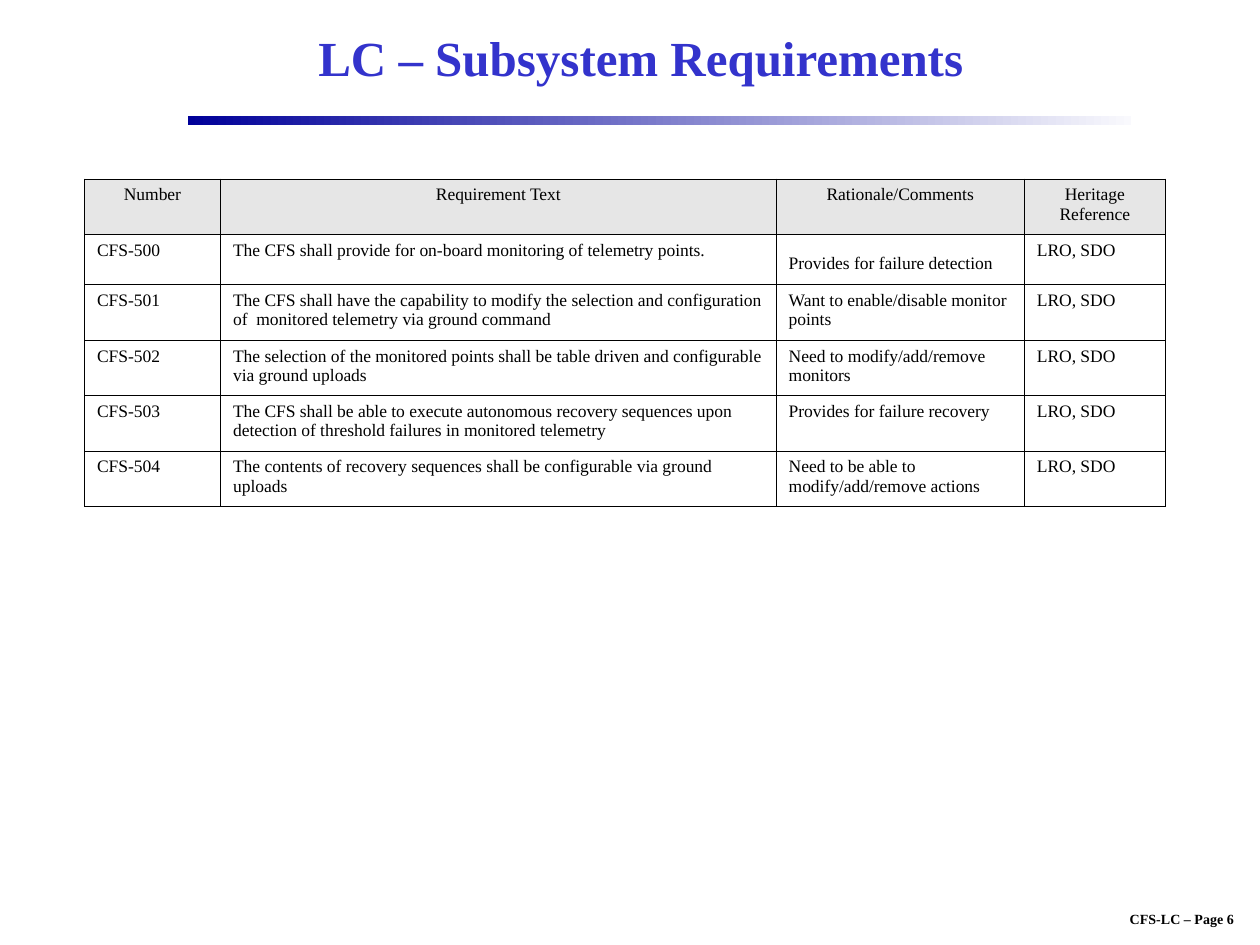
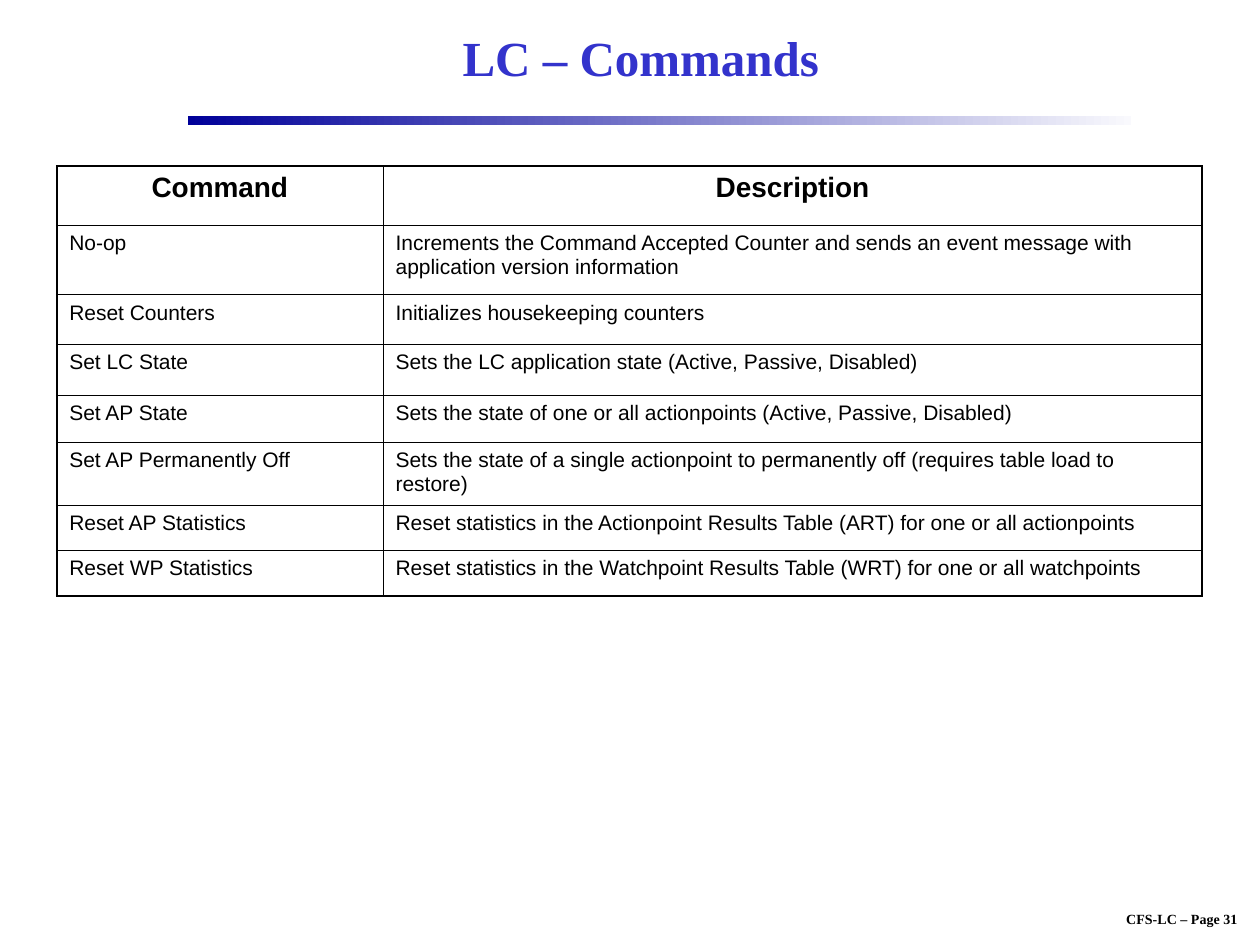
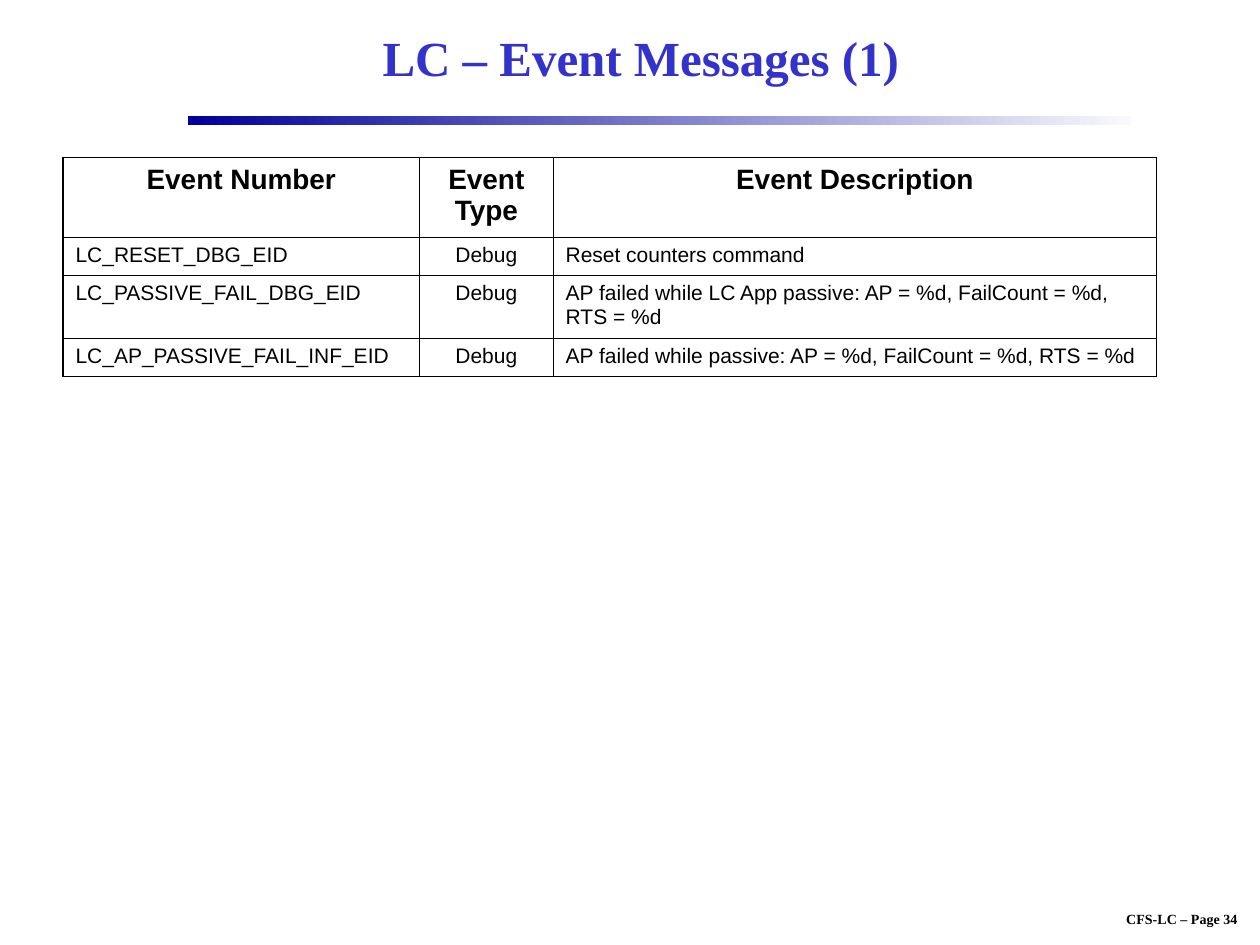
"""Build three slides of requirement, command and event tables for the LC application."""
from dataclasses import dataclass

from lxml import etree
from pptx import Presentation
from pptx.dml.color import RGBColor
from pptx.enum import shapes, text
from pptx.oxml import ns
from pptx.util import Inches, Pt

SERIF, SANS = "Times New Roman", "Arial"
BLACK, TITLE_BLUE, HEADER_GREY = "000000", "3333CC", "E6E6E6"
BAND_COLORS = ("000099", "F9F9FD")
THIN, THICK = 0.45, 1.08
TITLE_ONLY = 5


@dataclass
class TableStyle:
    font: str
    header_size: int
    body_size: int
    header_bold: bool
    header_fill: str = ""
    outer: float = THICK
    bottom: float = THICK
    centered_columns: tuple = ()


def color(value):
    return RGBColor.from_string(value)


def format_font(font, name, size, bold=False, fill=BLACK):
    font.name, font.size, font.bold = name, Pt(size), bold
    font.color.rgb = color(fill)


def set_title(slide, words):
    title = slide.shapes.title
    title.left, title.top = Inches(1.5), Inches(0.08)
    title.width, title.height = Inches(7.17), Inches(0.75)
    frame = title.text_frame
    frame.text = words
    frame.auto_size = text.MSO_AUTO_SIZE.NONE
    frame.vertical_anchor = text.MSO_ANCHOR.MIDDLE
    paragraph = frame.paragraphs[0]
    paragraph.alignment = text.PP_ALIGN.CENTER
    format_font(paragraph.font, SERIF, 28, True, TITLE_BLUE)


def add_band(slide):
    band = slide.shapes.add_shape(
        shapes.MSO_SHAPE.RECTANGLE, Inches(1.49), Inches(0.92), Inches(7.49), Inches(0.07))
    band.shadow.inherit = False
    band.line.fill.background()
    band.fill.gradient()
    band.fill.gradient_angle = 0
    for stop, value in zip(band.fill.gradient_stops, BAND_COLORS):
        stop.color.rgb = color(value)


def add_footer(slide, page):
    footer = slide.shapes.add_textbox(Inches(8.64), Inches(7.18), Inches(1.48), Inches(0.23))
    frame = footer.text_frame
    frame.word_wrap = False
    frame.text = f"CFS-LC – Page {page}"
    paragraph = frame.paragraphs[0]
    paragraph.alignment = text.PP_ALIGN.CENTER
    format_font(paragraph.font, SERIF, 8, True)


def add_slide(presentation, title, page):
    slide = presentation.slides.add_slide(presentation.slide_layouts[TITLE_ONLY])
    set_title(slide, title)
    add_band(slide)
    add_footer(slide, page)
    return slide


def set_borders(cell, widths):
    properties = cell._tc.get_or_add_tcPr()
    for side, width in zip("LRTB", widths):
        line = etree.SubElement(properties, ns.qn(f"a:ln{side}"), w=str(Pt(width)))
        fill = etree.SubElement(line, ns.qn("a:solidFill"))
        etree.SubElement(fill, ns.qn("a:srgbClr"), val=BLACK)


def fill_cell(cell, words, style, is_header, centered):
    cell.text = words
    paragraph = cell.text_frame.paragraphs[0]
    paragraph.alignment = text.PP_ALIGN.CENTER if centered else text.PP_ALIGN.LEFT
    size = style.header_size if is_header else style.body_size
    format_font(paragraph.font, style.font, size, is_header and style.header_bold)
    if is_header and style.header_fill:
        cell.fill.solid()
        cell.fill.fore_color.rgb = color(style.header_fill)
    else:
        cell.fill.background()


def add_table(slide, left, top, widths, heights, rows, style):
    table = slide.shapes.add_table(
        len(rows), len(widths), Inches(left), Inches(top),
        Inches(sum(widths)), Inches(sum(heights))).table
    table.first_row = table.horz_banding = False
    for column, width in zip(table.columns, widths):
        column.width = Inches(width)
    for row, height in zip(table.rows, heights):
        row.height = Inches(height)
    last_row, last_column = len(rows) - 1, len(widths) - 1
    for i, row in enumerate(rows):
        for j, words in enumerate(row):
            cell = table.cell(i, j)
            set_borders(cell, (
                style.outer if j == 0 else THIN,
                style.outer if j == last_column else THIN,
                style.outer if i == 0 else THIN,
                style.bottom if i == last_row else THIN))
            fill_cell(cell, words, style, i == 0, i == 0 or j in style.centered_columns)
    return table


def add_requirements(presentation):
    slide = add_slide(presentation, "LC – Subsystem Requirements", 6)
    requirements = [
        ("The CFS shall provide for on-board monitoring of telemetry points.",
         "Provides for failure detection"),
        ("The CFS shall have the capability to modify the selection and configuration "
         "of  monitored telemetry via ground command",
         "Want to enable/disable monitor points"),
        ("The selection of the monitored points shall be table driven and configurable "
         "via ground uploads",
         "Need to modify/add/remove monitors"),
        ("The CFS shall be able to execute autonomous recovery sequences upon "
         "detection of threshold failures in monitored telemetry",
         "Provides for failure recovery"),
        ("The contents of recovery sequences shall be configurable via ground uploads",
         "Need to be able to modify/add/remove actions"),
    ]
    rows = [("Number", "Requirement Text", "Rationale/Comments", "Heritage Reference")]
    rows += [(f"CFS-{number}", requirement, rationale, "LRO, SDO")
             for number, (requirement, rationale) in enumerate(requirements, 500)]
    style = TableStyle(SERIF, 10, 10, False, HEADER_GREY, THIN, THIN)
    table = add_table(slide, 0.67, 1.42, (1.08, 4.41, 1.97, 1.12),
                      (0.44, 0.4, 0.44, 0.44, 0.44, 0.44), rows, style)
    tall_space = table.cell(1, 2).text_frame.paragraphs[0].add_run()
    tall_space.text = " "
    format_font(tall_space.font, SANS, 18, True)


def add_commands(presentation):
    slide = add_slide(presentation, "LC – Commands", 31)
    rows = [
        ("Command", "Description"),
        ("No-op", "Increments the Command Accepted Counter and sends an event message with "
                  "application version information"),
        ("Reset Counters", "Initializes housekeeping counters"),
        ("Set LC State", "Sets the LC application state (Active, Passive, Disabled)"),
        ("Set AP State", "Sets the state of one or all actionpoints (Active, Passive, Disabled)"),
        ("Set AP Permanently Off", "Sets the state of a single actionpoint to permanently off "
                                   "(requires table load to restore)"),
        ("Reset AP Statistics", "Reset statistics in the Actionpoint Results Table (ART) "
                                "for one or all actionpoints"),
        ("Reset WP Statistics", "Reset statistics in the Watchpoint Results Table (WRT) "
                                "for one or all watchpoints"),
    ]
    add_table(slide, 0.45, 1.32, (2.59, 6.5), (0.47, 0.55, 0.39, 0.41, 0.37, 0.5, 0.36, 0.36),
              rows, TableStyle(SANS, 16, 12, True))


def add_events(presentation):
    slide = add_slide(presentation, "LC – Event Messages (1)", 34)
    rows = [
        ("Event Number", "Event Type", "Event Description"),
        ("LC_RESET_DBG_EID", "Debug", "Reset counters command"),
        ("LC_PASSIVE_FAIL_DBG_EID", "Debug",
         "AP failed while LC App passive: AP = %d, FailCount = %d, RTS = %d"),
        ("LC_AP_PASSIVE_FAIL_INF_EID", "Debug",
         "AP failed while passive: AP = %d, FailCount = %d, RTS = %d"),
    ]
    style = TableStyle(SANS, 16, 12, True, bottom=THIN, centered_columns=(1,))
    add_table(slide, 0.5, 1.25, (2.83, 1.06, 4.79), (0.63, 0.3, 0.5, 0.3), rows, style)


def main():
    presentation = Presentation()
    presentation.slide_width, presentation.slide_height = Inches(10), Inches(7.5)
    add_requirements(presentation)
    add_commands(presentation)
    add_events(presentation)
    presentation.save("out.pptx")


if __name__ == "__main__":
    main()
